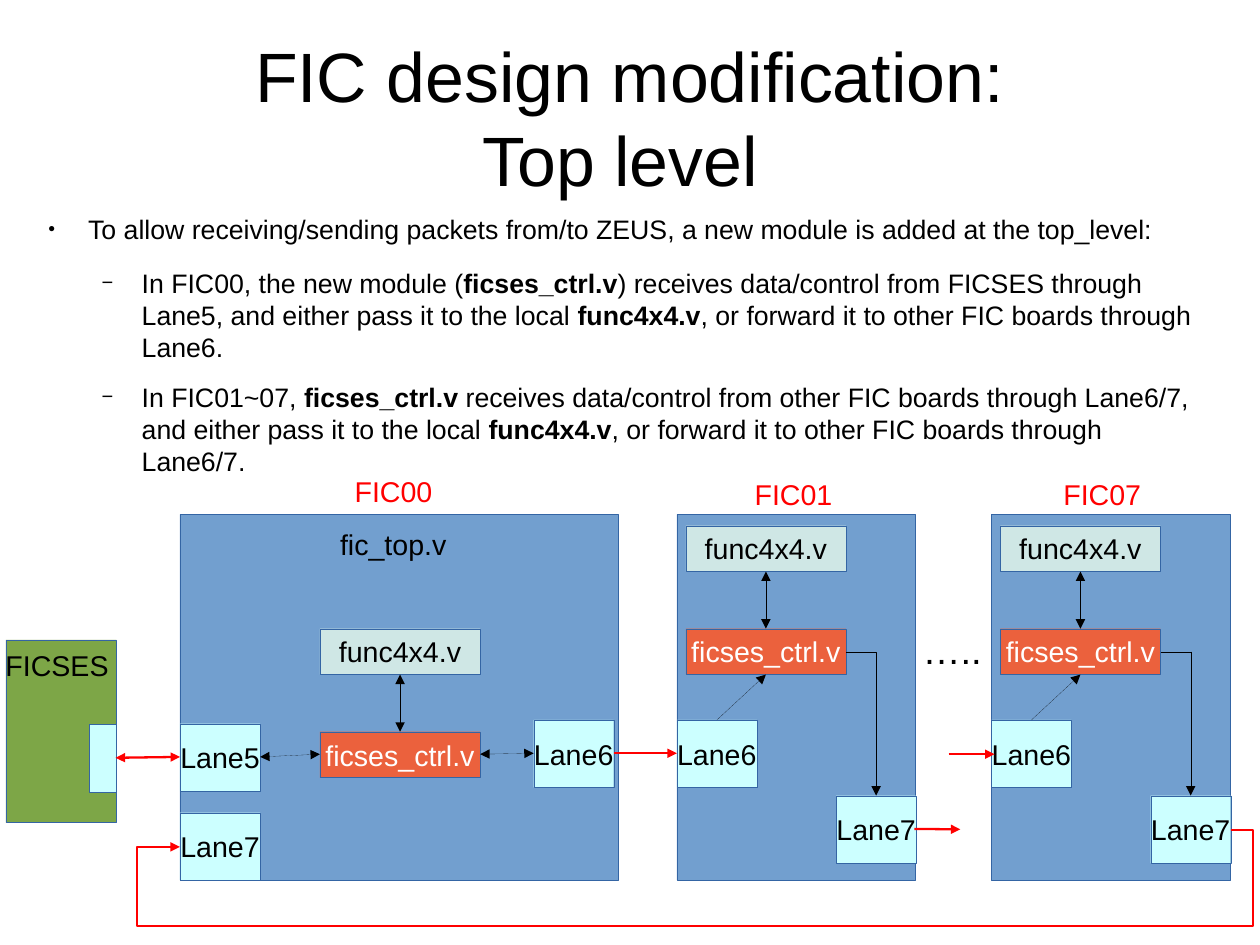
from lxml import etree
from pptx import Presentation
from pptx import util as u
from pptx.dml.color import RGBColor
from pptx.enum import shapes, text
from pptx.oxml.ns import qn

C = {"board": "729FCF", "host": "7DA647", "lane": "CCFFFF", "ctrl": "EB613D",
     "func": "CFE7E5", "edge": "3465A4", "black": "000000", "white": "FFFFFF",
     "red": "FF0000"}
LANE = (1.78, 1.5)
MODULE = (3.56, 1.02)
HAIRLINE = u.Pt(0.05)

prs = Presentation()
prs.slide_width, prs.slide_height = u.Cm(28), u.Cm(21)
s = prs.slides.add_slide(prs.slide_layouts[5])


def box(x, y, size, fill, label="", color="black", pt=18):
    """A filled block, or a plain label when fill is None."""
    place = [u.Cm(v) for v in (x, y, *size)]
    if fill:
        sp = s.shapes.add_shape(shapes.MSO_SHAPE.RECTANGLE, *place)
        sp.shadow.inherit = False
        sp.fill.solid()
        sp.fill.fore_color.rgb = RGBColor.from_string(C[fill])
        sp.line.color.rgb = RGBColor.from_string(C["edge"])
        sp.line.width = HAIRLINE
    else:
        sp = s.shapes.add_textbox(*place)
    if label:
        tf = sp.text_frame
        tf.word_wrap = False
        tf.margin_left = tf.margin_right = 0
        tf.vertical_anchor = text.MSO_ANCHOR.MIDDLE if fill else text.MSO_ANCHOR.TOP
        tf.text = label
        p = tf.paragraphs[0]
        p.alignment = text.PP_ALIGN.CENTER
        f = p.runs[0].font
        f.name, f.size = "Arial", u.Pt(pt)
        f.color.rgb = RGBColor.from_string(C[color])


def arrow(x1, y1, x2, y2, color="black", both=False, bend=None, adjust=()):
    """An arrow to (x2, y2), optionally double-headed or bent."""
    kind = shapes.MSO_CONNECTOR.ELBOW if bend else shapes.MSO_CONNECTOR.STRAIGHT
    c = s.shapes.add_connector(kind, *[u.Cm(v) for v in (x1, y1, x2, y2)])
    c.line.color.rgb = RGBColor.from_string(C[color])
    c.line.width = u.Pt(1.45) if color == "red" else HAIRLINE
    spPr = c._element.spPr
    if bend:
        geom = spPr.find(qn("a:prstGeom"))
        geom.set("prst", bend)
        guides = geom.find(qn("a:avLst"))
        for i, value in enumerate(adjust, 1):
            etree.SubElement(guides, qn("a:gd"), name=f"adj{i}", fmla=f"val {value}")
    ln = spPr.find(qn("a:ln"))
    for end in ("headEnd", "tailEnd") if both else ("tailEnd",):
        etree.SubElement(ln, qn(f"a:{end}"), type="triangle")
    etree.SubElement(spPr, qn("a:effectLst"))


# Title
title = s.shapes.title
title.left, title.top, title.width, title.height = [u.Cm(v) for v in (1.4, 0.84, 25.2, 3.5)]
tf = title.text_frame
tf.margin_left = tf.margin_right = tf.margin_top = tf.margin_bottom = 0
tf.vertical_anchor = text.MSO_ANCHOR.MIDDLE
p = tf.paragraphs[0]
p.text = "FIC design modification:\vTop level "
p.alignment = text.PP_ALIGN.CENTER
for r in p.runs:
    r.font.name, r.font.size = "Arial", u.Pt(44)
    r.font.color.rgb = RGBColor.from_string(C["black"])

# Bullets: odd parts are bold
bullets = [
    (0, ["To allow receiving/sending packets from/to ZEUS, a new module is added "
         "at the top_level:"]),
    (1, ["In FIC00, the new module (", "ficses_ctrl.v",
         ") receives data/control from FICSES through Lane5, and either pass it to the local ",
         "func4x4.v", ", or forward it to other FIC boards through Lane6."]),
    (1, ["In FIC01~07, ", "ficses_ctrl.v ",
         "receives data/control from other FIC boards through Lane6/7, "
         "and either pass it to the local ",
         "func4x4.v", ", or forward it to other FIC boards through Lane6/7."]),
]
styles = [("●", "45000", 1.2, 14.1), ("−", "75000", 2.39, 11.3)]
tf = s.shapes.add_textbox(u.Cm(0.76), u.Cm(4.72), u.Cm(25.83), u.Cm(5.44)).text_frame
tf.word_wrap = True
tf.margin_left = tf.margin_right = tf.margin_top = tf.margin_bottom = 0
for i, (level, parts) in enumerate(bullets):
    mark, scale, indent, after = styles[level]
    p = tf.add_paragraph() if i else tf.paragraphs[0]
    p.level = level
    p.space_after = u.Pt(after)
    pPr = p._p.get_or_add_pPr()
    pPr.set("marL", str(u.Cm(indent)))
    pPr.set("indent", str(u.Cm(-0.89)))
    etree.SubElement(pPr, qn("a:buSzPct"), val=scale)
    etree.SubElement(pPr, qn("a:buFont"), typeface="Arial")
    etree.SubElement(pPr, qn("a:buChar"), char=mark)
    for j, part in enumerate(parts):
        r = p.add_run()
        r.text = part
        r.font.name, r.font.size, r.font.bold = "Arial", u.Pt(16.8), j % 2 == 1
        r.font.color.rgb = RGBColor.from_string(C["black"])

# FICSES host
box(0.13, 14.22, (2.46, 4.06), "host")
box(0, 14.27, (2.54, 1.12), None, "FICSES")
box(1.98, 16.1, (0.61, 1.5), "lane")

# FIC00 board
box(4, 11.43, (9.73, 8.13), "board")
box(7.59, 10.41, (2.31, 0.97), None, "FIC00", "red")
box(6.96, 11.58, (3.56, 1.12), None, "fic_top.v")
for x, y, lane in [(4, 16.08, "Lane5"), (11.86, 16, "Lane6"), (4, 18.06, "Lane7")]:
    box(x, y, LANE, "lane", lane)
box(7.11, 16.26, MODULE, "ctrl", "ficses_ctrl.v", "white")
box(7.11, 13.97, MODULE, "func", "func4x4.v")
arrow(5.78, 16.82, 7.11, 16.76, both=True)
arrow(10.67, 16.76, 11.86, 16.74, both=True)
arrow(8.89, 16.26, 8.89, 14.99, both=True)

# FIC01 and FIC07 boards
for x, name_x, name in [(15.04, 16.48, "FIC01"), (22.03, 23.34, "FIC07")]:
    box(x, 11.43, (5.3, 8.13), "board")
    box(name_x, 10.48, (2.31, 0.97), None, name, "red")
    box(x, 16, LANE, "lane", "Lane6")
    box(x + 3.54, 17.68, LANE, "lane", "Lane7")
    box(x + 0.2, 13.97, MODULE, "ctrl", "ficses_ctrl.v", "white")
    box(x + 0.2, 11.68, MODULE, "func", "func4x4.v")
    arrow(x + 1.98, 13.97, x + 1.98, 12.7, both=True)
    arrow(x + 0.89, 16, x + 1.98, 14.99)
    arrow(x + 3.76, 14.48, x + 4.43, 17.68, bend="bentConnector2")
box(20.04, 13.79, (2.24, 1.19), None, "…..", pt=24)

# Links between boards
arrow(2.57, 16.84, 4, 16.82, "red", both=True)
arrow(13.64, 16.74, 15.04, 16.74, "red")
arrow(20.32, 18.42, 21.34, 18.43, "red")
arrow(21.08, 16.76, 22.1, 16.76, "red")
arrow(27.35, 18.44, 4, 18.82, "red", bend="bentConnector5", adjust=(-2100, 561300, 104100))

prs.save("out.pptx")
